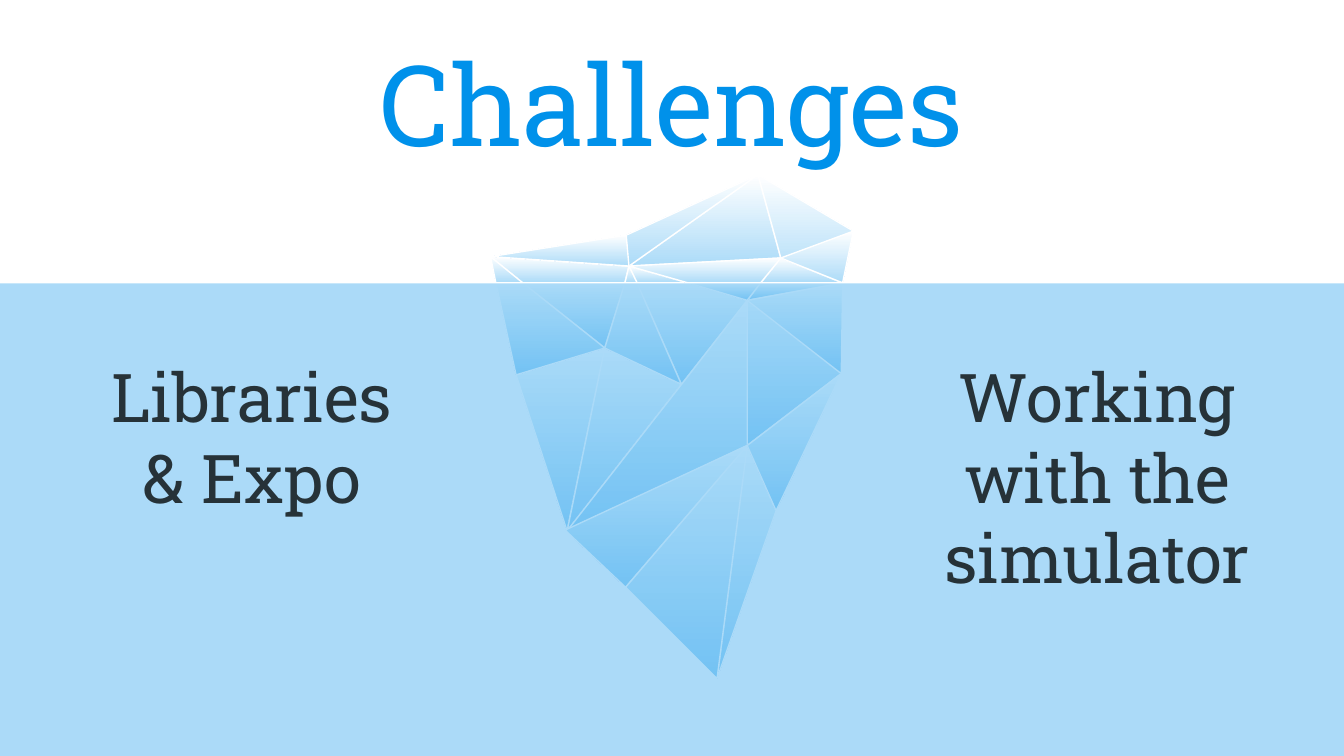
from lxml.etree import SubElement as sub
from pptx import Presentation
from pptx.dml.color import RGBColor as RGB
from pptx.enum.shapes import MSO_SHAPE as SHAPE
from pptx.enum.text import MSO_ANCHOR as ANCHOR, PP_ALIGN as ALIGN
from pptx.oxml.ns import qn
from pptx.util import Pt

PX = 4572
WIDE, HIGH = 2000, 1125
SEA_TOP = 422
FONT = "Roboto Slab"
WHITE = RGB(0xFF, 0xFF, 0xFF)
ICE = RGB(0xAC, 0xDB, 0xF8)
BLUE = RGB(0x00, 0x91, 0xEA)
DARK = RGB(0x26, 0x32, 0x38)

POINTS = {
    "A": (0, 122), "B": (202, 90), "C": (398, 0), "D": (540, 84),
    "E": (206, 136), "F": (432, 124), "G": (8, 161), "H": (48, 161),
    "I": (200, 161), "J": (218, 161), "K": (294, 161), "L": (402, 161),
    "M": (524, 161), "N": (382, 187), "O": (170, 258), "P": (38, 298),
    "Q": (284, 312), "R": (522, 296), "S": (114, 530), "T": (382, 403),
    "U": (425, 500), "V": (201, 614), "W": (337, 750), "X": (111, 529),
}
FACETS = (
    "MAH CEF CDMF AHG EIHA CEAB FML JEK AHG BEA DFM JEI MRTN OSP "
    "IOH TUW MNL QJKN QOS NST HOPG MNR OQJI XTV VWT RUT EFLK NLK"
).split()


def scale(box):
    """Turn a box in px into EMU."""
    return [side * PX for side in box]


def add_text(slide, box, text, size, color, pad=10, anchor=ANCHOR.TOP):
    """Place one centred, wrapped paragraph in the box."""
    frame = slide.shapes.add_textbox(*scale(box)).text_frame
    frame.word_wrap = True
    frame.vertical_anchor = anchor
    frame.margin_left = frame.margin_right = 20 * PX
    frame.margin_top = frame.margin_bottom = pad * PX
    para = frame.paragraphs[0]
    para.alignment = ALIGN.CENTER
    run = para.add_run()
    run.text = text
    run.font.name = FONT
    run.font.size = Pt(size)
    run.font.color.rgb = color


def add_facet(group, left, top, names):
    """Draw one gradient facet of the iceberg through the named points."""
    first, *rest = [POINTS[name] for name in names]
    pen = group.shapes.build_freeform(*first, scale=PX)
    pen.add_line_segments(rest, close=True)
    facet = pen.convert_to_shape(left * PX, top * PX)
    facet.shadow.inherit = False
    facet.fill.gradient()
    facet.fill.gradient_angle = 270
    for stop, color, place in zip(facet.fill.gradient_stops, (WHITE, ICE), (0, 1)):
        stop.color.rgb = color
        stop.position = place
    facet.line.color.rgb = WHITE
    facet.line.width = Pt(0.75)


def add_berg(slide, left, top):
    """Draw the iceberg as one group of facets."""
    group = slide.shapes.add_group_shape()
    for names in FACETS:
        add_facet(group, left, top, names)


def add_sea(slide, box):
    """Lay the see-through water over the box."""
    sea = slide.shapes.add_shape(SHAPE.RECTANGLE, *scale(box))
    sea.shadow.inherit = False
    sea.line.fill.background()
    sea.fill.solid()
    sea.fill.fore_color.rgb = BLUE
    tint = sea.fill._xPr.find(".//" + qn("a:srgbClr"))
    sub(tint, qn("a:alpha"), val="33000")


def add_labels(slide, box, gap, texts):
    """Set the underwater texts side by side, starting from the box."""
    left, top, wide, high = box
    for spot, text in enumerate(texts):
        place = (left + spot * (wide + gap), top, wide, high)
        add_text(slide, place, text, size=36, color=DARK)


def main():
    """Build and save the slide."""
    deck = Presentation()
    deck.slide_width, deck.slide_height = scale((WIDE, HIGH))
    slide = deck.slides.add_slide(deck.slide_layouts[6])
    add_berg(slide, 730, 260)
    add_text(slide, (172, 118, 1656, 154), "Challenges", size=60, color=BLUE,
             pad=20, anchor=ANCHOR.BOTTOM)
    add_sea(slide, (0, SEA_TOP, WIDE, HIGH - SEA_TOP))
    add_labels(slide, (117, 519, 516, 530), 742,
               ("Libraries & Expo", "Working with the simulator"))
    deck.save("out.pptx")


if __name__ == "__main__":
    main()
